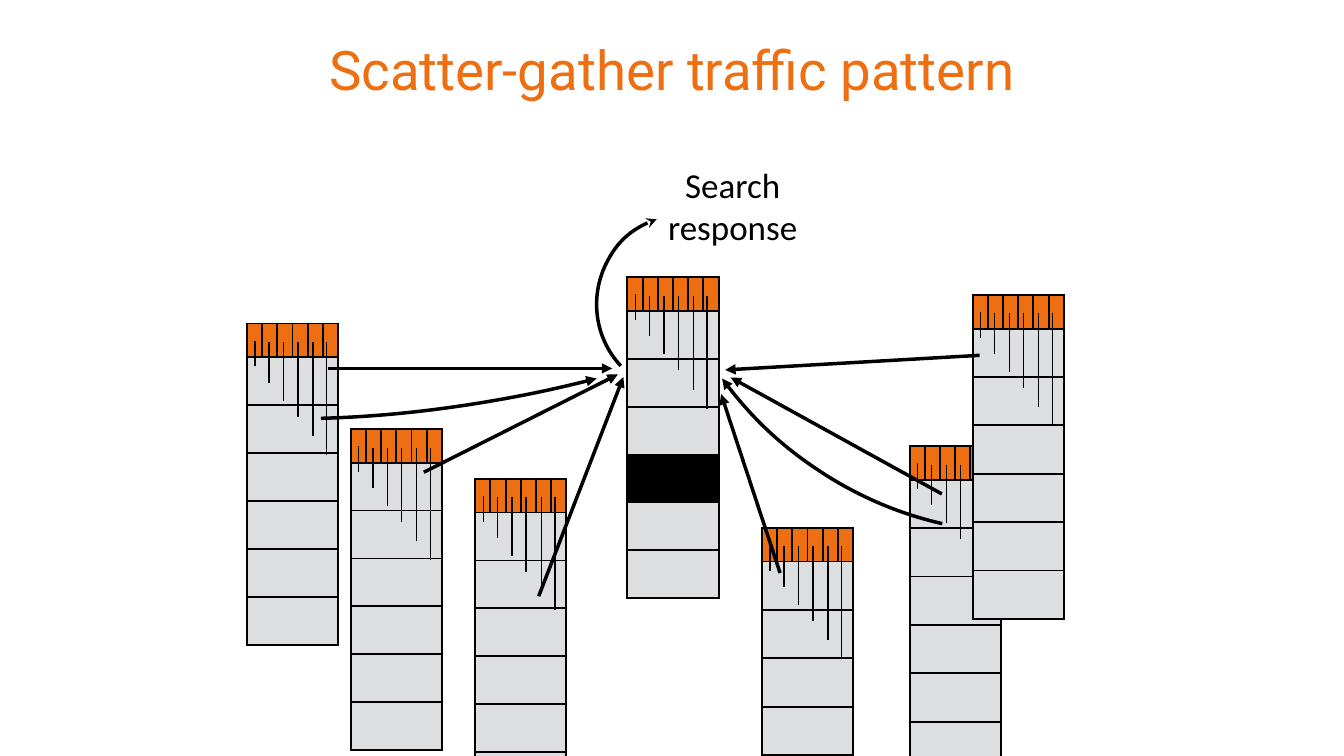
import pptx
import pptx.util
import pptx.dml.color
import pptx.enum.shapes
import pptx.enum.text
import pptx.oxml
import pptx.oxml.ns
from lxml import etree

Inches, Pt = pptx.util.Inches, pptx.util.Pt
qn = pptx.oxml.ns.qn

# Content
TITLE = "Scatter-gather traffic pattern"
LABEL = "Search response"

# Switches: left, top, queue row height
RIGHT_SWITCHES = [(18.05, 8.85, 0.96), (15.12, 10.47, 0.96), (19.3, 5.85, 0.96)]
LEFT_SWITCHES = [(9.43, 9.5, 0.95), (6.96, 8.51, 0.95), (4.9, 6.42, 0.95)]
ROOT_SWITCH = (12.45, 5.5, 0.95)
FULL_ROW = 3

# Straight arrows: head x, y, then far end x, y
ARROWS = [
    (12.15, 7.31, 6.5, 7.31),
    (12.37, 7.48, 10.69, 11.83),
    (12.26, 7.43, 8.41, 9.37),
    (14.39, 7.34, 19.44, 7.05),
    (14.5, 7.49, 18.69, 9.8),
    (14.31, 7.82, 15.48, 11.37),
]

# Curved arrows: start point, then three points per Bézier segment
IN_CURVES = [
    [(11.84, 7.51), (11.14, 7.69), (10.44, 7.84), (9.73, 7.96),
     (8.62, 8.15), (7.5, 8.27), (6.37, 8.3)],
    [(14.33, 7.51), (14.85, 8.22), (15.5, 8.84), (16.24, 9.33),
     (16.99, 9.83), (17.82, 10.19), (18.7, 10.39)],
]
OUT_CURVE = [(13.03, 4.35), (12.61, 4.49), (12.26, 4.79), (12.06, 5.17),
             (11.69, 5.85), (11.79, 6.7), (12.32, 7.26)]

# Switch geometry: the queue overlaps the lower row of the ports
WIDTH, PORTS, QUEUE_ROWS = 1.81, 6, 6
PORT_ROWS = [0.67, 0.35]
# Port wires: x, top, bottom, measured from the switch corner
WIRES = [(0.16, 0.34, 0.85), (0.44, 0.37, 1.17), (0.73, 0.37, 1.53),
         (1.01, 0.37, 1.85), (1.31, 0.37, 2.23), (1.58, 0.37, 2.61)]


def rgb(value):
    return pptx.dml.color.RGBColor.from_string(value)


THEME = {
    "orange": rgb("EE6E12"), "grey": rgb("DCDEE0"), "black": rgb("000000"),
    "title_font": "Roboto", "title_size": Pt(78),
    "label_font": "Calibri", "label_size": Pt(50),
    "border": Pt(3), "wire": Pt(2), "arrow": Pt(5),
}


def style_text(tf, font, size, color):
    tf.vertical_anchor = pptx.enum.text.MSO_ANCHOR.MIDDLE
    tf.word_wrap = True
    p = tf.paragraphs[0]
    p.alignment = pptx.enum.text.PP_ALIGN.CENTER
    for r in p.runs:
        r.font.name, r.font.size, r.font.color.rgb = font, size, color


def style_line(shape, width, head=None):
    shape.line.color.rgb = THEME["black"]
    shape.line.width = width
    if head:
        etree.SubElement(shape.line._get_or_add_ln(), qn("a:headEnd"), type=head)


def add_line(s, x1, y1, x2, y2, width, head=None):
    c = s.shapes.add_connector(pptx.enum.shapes.MSO_CONNECTOR.STRAIGHT,
                               Inches(x1), Inches(y1), Inches(x2), Inches(y2))
    style_line(c, width, head)
    etree.SubElement(c._element.spPr, qn("a:effectLst"))


def add_curve(s, points, head):
    start, *rest = [(Inches(x), Inches(y)) for x, y in points]
    builder = s.shapes.build_freeform(*start)
    builder.add_line_segments(rest, close=False)
    sp = builder.convert_to_shape()
    # Join each three line segments into one Bézier segment
    segments = list(sp._element.iter(qn("a:lnTo")))
    for i in range(0, len(segments), 3):
        curve = etree.Element(qn("a:cubicBezTo"))
        segments[i].addprevious(curve)
        for segment in segments[i:i + 3]:
            curve.append(segment[0])
            segment.getparent().remove(segment)
    sp.fill.background()
    sp.shadow.inherit = False
    style_line(sp, THEME["arrow"], head)


def add_grid(s, x, y, row_heights, cols, color):
    table = s.shapes.add_table(len(row_heights), cols, Inches(x), Inches(y),
                               Inches(WIDTH), Inches(sum(row_heights))).table
    table.first_row = table.horz_banding = False
    for row, height in zip(table.rows, row_heights):
        row.height = Inches(height)
    for cell in table.iter_cells():
        cell.margin_left = cell.margin_right = cell.margin_top = cell.margin_bottom = 0
        tcPr = cell._tc.get_or_add_tcPr()
        for side in ("a:lnL", "a:lnR", "a:lnT", "a:lnB"):
            ln = etree.SubElement(tcPr, qn(side), w=str(THEME["border"]))
            fill = etree.SubElement(ln, qn("a:solidFill"))
            etree.SubElement(fill, qn("a:srgbClr"), val=str(THEME["black"]))
        cell.fill.solid()
        cell.fill.fore_color.rgb = color
    return table


def add_switch(s, x, y, row_height):
    add_grid(s, x, y, PORT_ROWS, PORTS, THEME["orange"])
    queue = add_grid(s, x, y + PORT_ROWS[0], [row_height] * QUEUE_ROWS, 1, THEME["grey"])
    for dx, top, bottom in WIRES:
        add_line(s, x + dx, y + bottom, x + dx, y + top, THEME["wire"])
    return queue


def main():
    prs = pptx.Presentation()
    prs.slide_width, prs.slide_height = Inches(26.67), Inches(15)
    s = prs.slides.add_slide(prs.slide_layouts[5])

    # Title
    title = s.shapes.title
    title.width, title.height = Inches(20), Inches(2.73)
    title.left, title.top = (prs.slide_width - title.width) // 2, Inches(0)
    title.text_frame.text = TITLE
    style_text(title.text_frame, THEME["title_font"], THEME["title_size"], THEME["orange"])

    # Outer switches
    for switch in RIGHT_SWITCHES + LEFT_SWITCHES:
        add_switch(s, *switch)

    # Traffic towards the root
    for arrow in ARROWS:
        add_line(s, *arrow, THEME["arrow"], "triangle")
    for curve in IN_CURVES:
        add_curve(s, curve, "triangle")

    # Root switch with its full queue slot
    queue = add_switch(s, *ROOT_SWITCH)
    queue.cell(FULL_ROW, 0).fill.fore_color.rgb = THEME["black"]

    # Response
    label = s.shapes.add_textbox(Inches(13.2), Inches(3.21), Inches(2.68), Inches(1.75))
    tf = label.text_frame
    tf.margin_left = tf.margin_right = 0
    tf.text = LABEL
    style_text(tf, THEME["label_font"], THEME["label_size"], THEME["black"])
    add_curve(s, OUT_CURVE, "stealth")

    prs.save("out.pptx")


if __name__ == "__main__":
    main()
